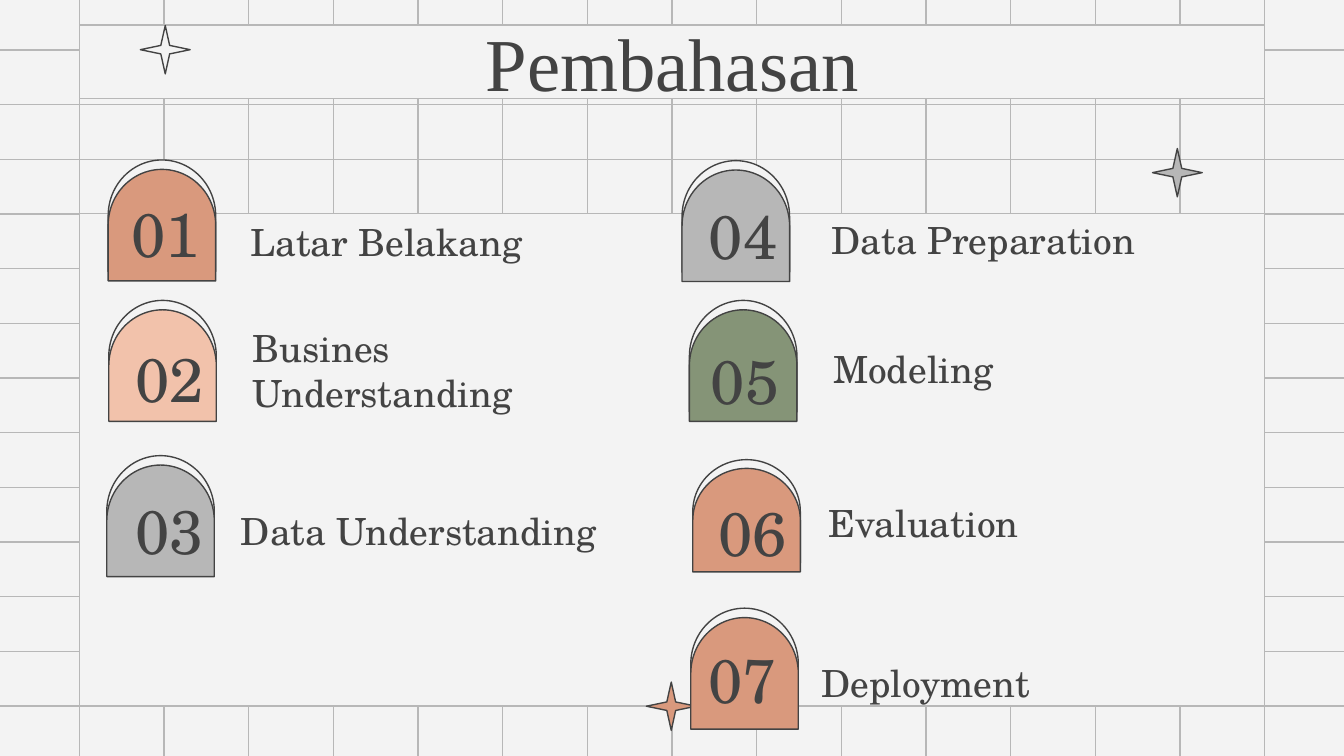
from typing import NamedTuple

from lxml.etree import SubElement
from pptx import Presentation
from pptx.dml.color import RGBColor
from pptx.enum.shapes import MSO_CONNECTOR, MSO_SHAPE
from pptx.enum.text import MSO_ANCHOR, PP_ALIGN
from pptx.oxml.ns import qn
from pptx.util import Pt

EMU_PER_PX = 4572  # 200 px to the inch
SLIDE_WIDTH, SLIDE_HEIGHT = 2000, 1125

PAPER = RGBColor(0xF3, 0xF3, 0xF3)
GRAY = RGBColor(0xB7, 0xB7, 0xB7)
INK = RGBColor(0x43, 0x43, 0x43)
TERRACOTTA = RGBColor(0xD9, 0x99, 0x7D)
PEACH = RGBColor(0xF2, 0xC2, 0xAB)
GREEN = RGBColor(0x85, 0x94, 0x77)

TITLE_FONT = "Times New Roman"
BODY_FONT = "TeX Gyre Schola"


class Topic(NamedTuple):
    number: str
    label: str
    color: RGBColor
    origin: tuple        # left, top of the arch
    number_box: tuple    # x offset, y offset, height
    label_box: tuple     # x offset, y offset, height
    arch_height: int = 166
    arch_gap: int = 14


TOPICS = [
    Topic("01", "Latar Belakang", TERRACOTTA, (158, 241), (-4, 52, 108), (195, 79, 80)),
    Topic("02", "Busines Understanding", PEACH, (159, 450), (1, 59, 106), (197, 18, 166)),
    Topic("03", "Data Understanding", GRAY, (156, 681), (4, 53, 108), (183, 69, 80)),
    Topic("04", "Data Preparation", GRAY, (1012, 242), (1, 54, 108), (206, 75, 80)),
    Topic("05", "Modeling", GREEN, (1023, 450), (-7, 62, 106), (197, 58, 80)),
    Topic("06", "Evaluation", TERRACOTTA, (1034, 681), (-7, 46, 130), (179, 57, 80), 154, 13),
    Topic("07", "Deployment", TERRACOTTA, (1025, 908), (-13, 37, 130), (178, 68, 80)),
]
STARS = [(1715, 221, GRAY), (209, 38, PAPER), (962, 1015, TERRACOTTA)]


def px(*lengths):
    return [round(length * EMU_PER_PX) for length in lengths]


def add_line(slide, x1, y1, x2, y2):
    line = slide.shapes.add_connector(MSO_CONNECTOR.STRAIGHT, *px(x1, y1, x2, y2))
    line.line.color.rgb = GRAY
    line.line.width = Pt(0.75)
    SubElement(line._element.spPr, qn("a:effectLst"))


def add_figure(slide, kind, box, fill, outline=INK):
    shape = slide.shapes.add_shape(kind, *px(*box))
    shape.shadow.inherit = False
    shape.fill.solid()
    shape.fill.fore_color.rgb = fill
    shape.line.color.rgb = outline
    shape.line.width = Pt(0.75)
    return shape


def write(shape, text, size, font, alignment):
    frame = shape.text_frame
    frame.word_wrap = True
    frame.vertical_anchor = MSO_ANCHOR.MIDDLE
    inset, = px(20)
    frame.margin_left = frame.margin_right = inset
    frame.margin_top = frame.margin_bottom = inset
    paragraph = frame.paragraphs[0]
    paragraph.text = text
    paragraph.alignment = alignment
    paragraph.font.size = Pt(size)
    paragraph.font.name = font
    paragraph.font.color.rgb = INK
    return paragraph


def add_grid(slide, left, top, right, bottom):
    # Every grid line is made of two halves meeting in the middle
    middle_x, middle_y = (left + right) / 2, (top + bottom) / 2
    for column in range(-7, 8):
        x = middle_x + 126 * column
        add_line(slide, x, top, x, middle_y)
        add_line(slide, x, middle_y, x, bottom)
    for row in range(-6, 7):
        y = middle_y + 81.33 * row
        add_line(slide, left, y, middle_x, y)
        add_line(slide, middle_x, y, right, y)


def add_title(slide, box):
    banner = add_figure(slide, MSO_SHAPE.RECTANGLE, box, PAPER, GRAY)
    write(banner, "Pembahasan", 40, TITLE_FONT, PP_ALIGN.CENTER)


def add_star(slide, left, top, color):
    star = add_figure(slide, MSO_SHAPE.STAR_4_POINT, (left, top, 74, 72), color)
    star.adjustments[0] = 0.125


def add_topic(slide, topic):
    left, top = topic.origin

    # Double arch, turned so that the round side is on top
    for offset, color in ((0, PAPER), (topic.arch_gap, topic.color)):
        box = (left, top + offset, topic.arch_height, 160)
        arch = add_figure(slide, MSO_SHAPE.FLOWCHART_DELAY, box, color)
        arch.rotation = 270

    # Number over the arch
    x, y, height = topic.number_box
    number = slide.shapes.add_textbox(*px(left + x, top + y, 186, height))
    write(number, topic.number, 33, BODY_FONT, PP_ALIGN.CENTER)

    # Label beside the arch
    x, y, height = topic.label_box
    label = slide.shapes.add_textbox(*px(left + x, top + y, 620, height))
    paragraph = write(label, topic.label, 20, BODY_FONT, PP_ALIGN.LEFT)
    paragraph.space_after = Pt(12)


def main():
    presentation = Presentation()
    presentation.slide_width, presentation.slide_height = px(SLIDE_WIDTH, SLIDE_HEIGHT)
    slide = presentation.slides.add_slide(presentation.slide_layouts[6])
    slide.background.fill.solid()
    slide.background.fill.fore_color.rgb = PAPER

    # Squared paper and panel
    add_grid(slide, -8, -7, 2008, 1132)
    add_figure(slide, MSO_SHAPE.RECTANGLE, (118, 318, 1764, 732), PAPER, GRAY)

    # Title, decorations and topics
    add_title(slide, (118, 37, 1764, 110))
    for star in STARS:
        add_star(slide, *star)
    for topic in TOPICS:
        add_topic(slide, topic)

    presentation.save("out.pptx")


if __name__ == "__main__":
    main()
